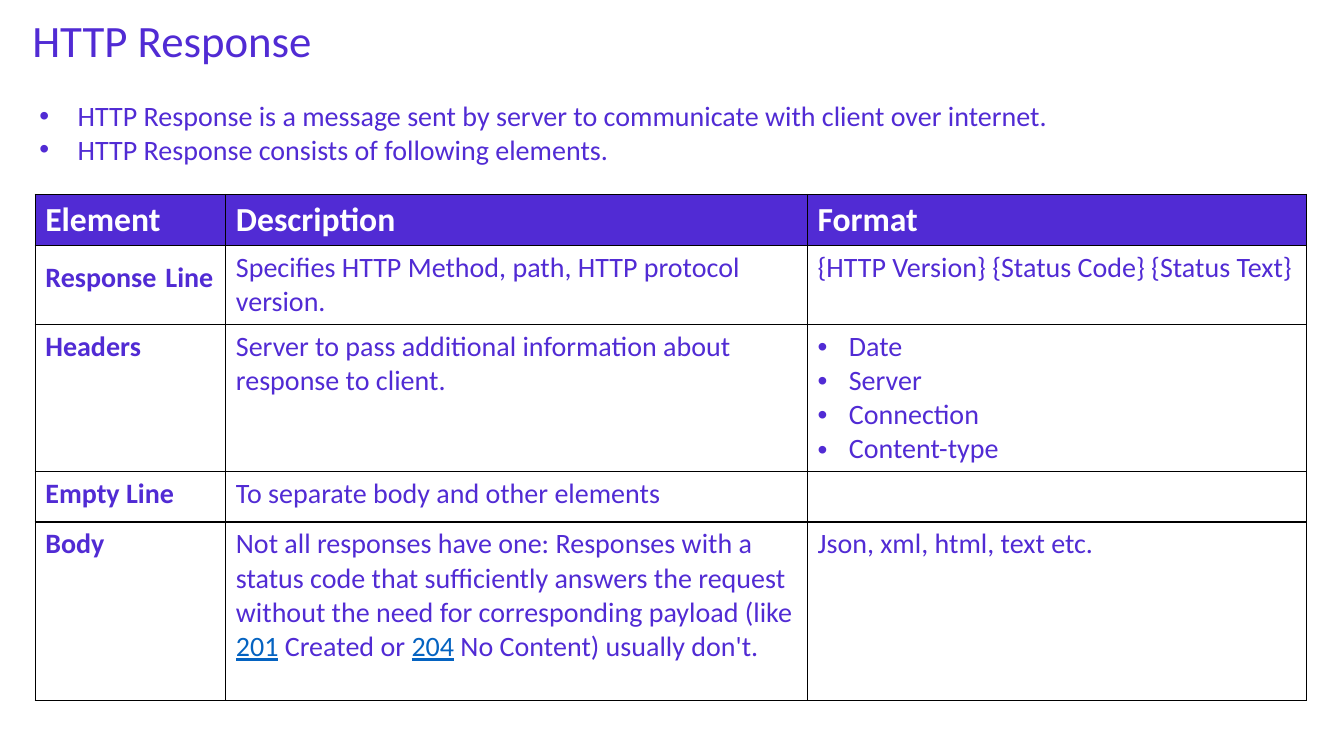
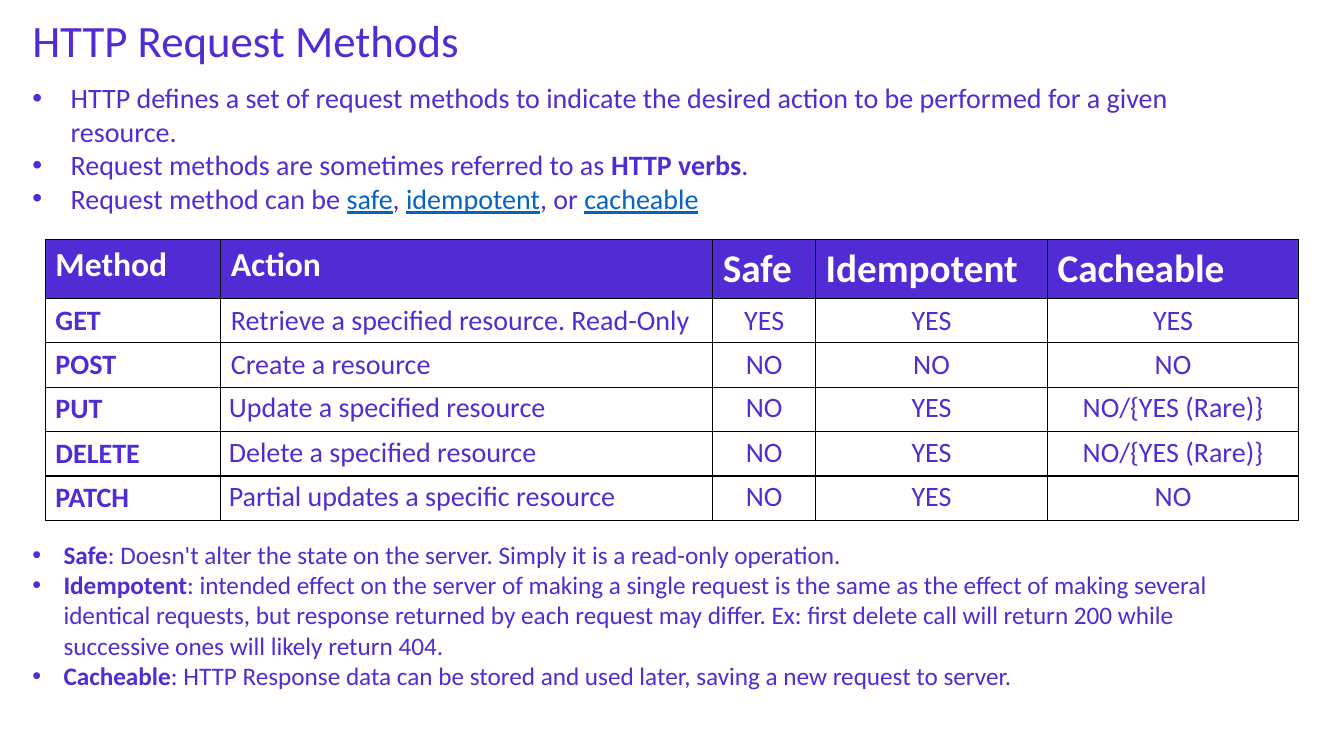
import dataclasses
import lxml.etree
import pptx
import pptx.dml.color
import pptx.enum.text
import pptx.oxml.ns
import pptx.util

Inches = pptx.util.Inches
Align = pptx.enum.text.PP_ALIGN


def tone(code):
    return pptx.dml.color.RGBColor.from_string(code)


@dataclasses.dataclass(frozen=True)
class Theme:
    font: str = "Calibri"
    main: str = "512BD4"
    link: str = "0563C1"
    light: str = "FFFFFF"
    line: str = "000000"
    title: int = 32
    large: int = 28
    head: int = 24
    body: int = 20
    note: int = 18


THEME = Theme()
TITLE = (0.22, 0.14, 11.64, 0.72)
EDGES = ("lnL", "lnR", "lnT", "lnB")


def node(root, tag, **attrs):
    return lxml.etree.SubElement(root, pptx.oxml.ns.qn("a:" + tag), **attrs)


def place(shape, box):
    shape.left, shape.top, shape.width, shape.height = map(Inches, box)


def style(para, size, color=THEME.main, bold=False):
    font = para.font
    font.name, font.size, font.bold = THEME.font, pptx.util.Pt(size), bold
    font.color.rgb = tone(color)


def write(para, parts):
    for part in [parts] if isinstance(parts, str) else parts:
        text, kind = (part, "") if isinstance(part, str) else part
        run = para.add_run()
        run.text = text
        if kind == "bold":
            run.font.bold = True
        elif kind == "link":
            run.font.underline = True
            run.font.color.rgb = tone(THEME.link)
        elif kind == "large":
            run.font.size = pptx.util.Pt(THEME.large)


def bullet(para, indent):
    props = para._p.get_or_add_pPr()
    props.set("marL", str(Inches(indent)))
    props.set("indent", str(-Inches(indent)))
    node(props, "buFont", typeface="Arial")
    node(props, "buChar", char="•")


def fill_list(frame, items, size, indent):
    for i, item in enumerate(items):
        para = frame.add_paragraph() if i else frame.paragraphs[0]
        bullet(para, indent)
        para.space_before = pptx.util.Pt(0)
        style(para, size)
        write(para, item)


def add_title(slide, text):
    shape = slide.shapes.title
    place(shape, TITLE)
    frame = shape.text_frame
    frame.auto_size = pptx.enum.text.MSO_AUTO_SIZE.NONE
    frame.vertical_anchor = pptx.enum.text.MSO_ANCHOR.TOP
    para = frame.paragraphs[0]
    para.alignment = Align.LEFT
    para.line_spacing = 0.9
    style(para, THEME.title)
    write(para, text)


def add_list(slide, slot, box, items, size=THEME.body, indent=0.38):
    shape = slide.placeholders[slot]
    place(shape, box)
    shape.text_frame.auto_size = pptx.enum.text.MSO_AUTO_SIZE.NONE
    fill_list(shape.text_frame, items, size, indent)


def border(cell):
    props = cell._tc.get_or_add_tcPr()
    for edge in EDGES:
        line = node(props, edge, w=str(pptx.util.Pt(1)))
        node(node(line, "solidFill"), "srgbClr", val=THEME.line)


def add_grid(slide, spot, cols, highs, rows, center=(), heads=()):
    box = (*spot, sum(cols), sum(highs))
    table = slide.shapes.add_table(len(rows), len(cols), *map(Inches, box)).table
    table.first_row = table.horz_banding = False
    for col, wide in zip(table.columns, cols):
        col.width = Inches(wide)
    for row, high in zip(table.rows, highs):
        row.height = Inches(high)
    for r, row in enumerate(rows):
        for c, value in enumerate(row):
            cell = table.cell(r, c)
            border(cell)
            if r:
                cell.fill.background()
            else:
                cell.fill.solid()
                cell.fill.fore_color.rgb = tone(THEME.main)
            if isinstance(value, tuple):
                fill_list(cell.text_frame, value, THEME.body, 0.31)
                continue
            para = cell.text_frame.paragraphs[0]
            if r:
                style(para, THEME.body, bold=c == 0)
                if c in center:
                    para.alignment = Align.CENTER
            else:
                size = THEME.large if c in heads else THEME.head
                style(para, size, THEME.light, True)
            if value:
                write(para, value)
    return table


def tighten(table, first):
    for r in range(first, len(table.rows)):
        for c in range(1, len(table.columns)):
            cell = table.cell(r, c)
            cell.margin_left = cell.margin_right = Inches(0.08)
            cell.margin_top = cell.margin_bottom = Inches(0.04)


def add_reply(deck):
    slide = deck.slides.add_slide(deck.slide_layouts.get_by_name("Title and Content"))
    add_title(slide, "HTTP Response")
    add_list(slide, 1, (0.29, 0.93, 12.44, 0.77), [
        "HTTP Response is a message sent by server to communicate with client over internet.",
        "HTTP Response consists of following elements.",
    ])
    add_grid(slide, (0.35, 1.93), (1.89, 5.77, 4.95), (0.5, 0.77, 1.43, 0.5, 1.77), [
        ["Element", "Description", "Format"],
        [["Response", (" ", "large"), "Line"],
         "Specifies HTTP Method, path, HTTP protocol version.",
         "{HTTP Version} {Status Code} {Status Text}"],
        ["Headers",
         "Server to pass additional information about response to client.",
         ("Date", "Server", "Connection", "Content-type")],
        ["Empty Line", "To separate body and other elements", ""],
        ["Body",
         ["Not all responses have one: Responses with a status code that sufficiently "
          "answers the request without the need for corresponding payload (like ",
          ("201", "link"), " Created or ", ("204", "link"),
          " No Content) usually don't."],
         "Json, xml, html, text etc."],
    ])


def add_verbs(deck):
    slide = deck.slides.add_slide(deck.slide_layouts.get_by_name("Two Content"))
    add_title(slide, "HTTP Request Methods")
    table = add_grid(
        slide, (0.45, 2.38), (1.74, 4.88, 1.02, 2.3, 2.49), [0.58] + [0.44] * 5, [
            ["Method", "Action", "Safe", "Idempotent", "Cacheable"],
            ["GET", "Retrieve a specified resource. Read-Only", "YES", "YES", "YES"],
            ["POST", "Create a resource", "NO", "NO", "NO"],
            ["PUT", "Update a specified resource", "NO", "YES", "NO/{YES (Rare)}"],
            ["DELETE", "Delete a specified resource", "NO", "YES", "NO/{YES (Rare)}"],
            ["PATCH", "Partial updates a specific resource", "NO", "YES", "NO"],
        ], center=(2, 3, 4), heads=(2, 3, 4))
    tighten(table, 3)
    add_list(slide, 1, (0.22, 0.75, 12.5, 1.45), [
        "HTTP defines a set of request methods to indicate the desired action "
        "to be performed for a given resource.",
        ["Request methods are sometimes referred to as ", ("HTTP verbs", "bold"), "."],
        ["Request method can be ", ("safe", "link"), ", ", ("idempotent", "link"),
         ", or ", ("cacheable", "link")],
    ])
    add_list(slide, 2, (0.22, 5.3, 12.43, 1.62), [
        [("Safe", "bold"),
         ": Doesn't alter the state on the server. Simply it is a read-only operation."],
        [("Idempotent", "bold"),
         ": intended effect on the server of making a single request is the same as the "
         "effect of making several identical requests, but response returned by each "
         "request may differ. Ex: first delete call will return 200 while successive "
         "ones will likely return 404."],
        [("Cacheable", "bold"),
         ": HTTP Response data can be stored and used later, saving a new request to server."],
    ], THEME.note, 0.31)


def main():
    deck = pptx.Presentation()
    deck.slide_width, deck.slide_height = Inches(13.33), Inches(7.5)
    add_reply(deck)
    add_verbs(deck)
    deck.save("out.pptx")


if __name__ == "__main__":
    main()
